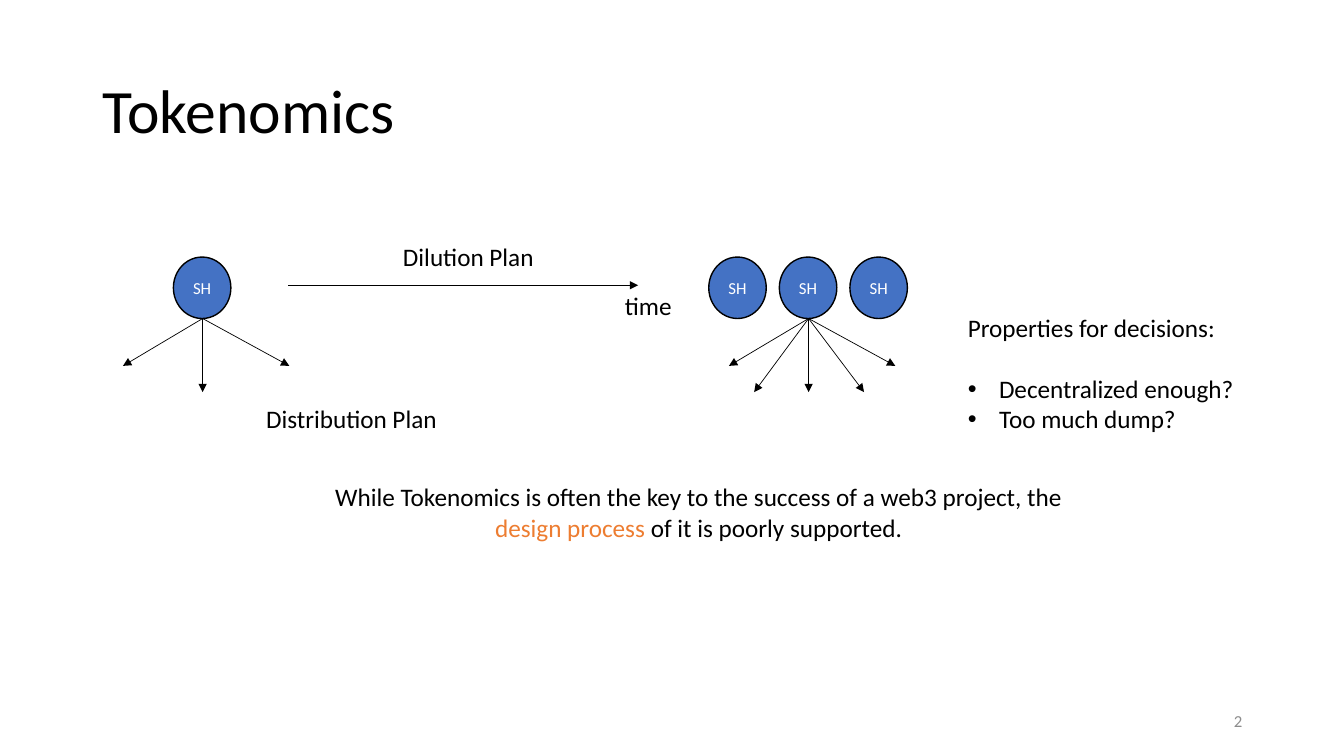
from lxml import etree
from pptx import Presentation
from pptx import util as u
from pptx.dml.color import RGBColor
from pptx.enum import shapes, text
from pptx.oxml.ns import qn

BLACK, WHITE, GREY = "000000", "FFFFFF", "8C8C8C"
BLUE, ORANGE = "4472C4", "ED7D31"
ALIGN, ANCHOR = text.PP_ALIGN, text.MSO_ANCHOR


def color(value):
    return RGBColor.from_string(value)


class SlideBuilder:
    font = "Calibri"
    line_width = 0.5

    def __init__(self, slide):
        self.slide = slide

    def style(self, span, size, ink):
        span.font.name = self.font
        span.font.size = u.Pt(size)
        span.font.color.rgb = color(ink)

    def text(self, place, paragraphs, size=18, ink=BLACK, align=ALIGN.CENTER,
             anchor=ANCHOR.TOP):
        """Each paragraph is a list of (words, ink) spans or a plain string."""
        box = self.slide.shapes.add_textbox(*map(u.Inches, place))
        frame = box.text_frame
        frame.word_wrap = True
        frame.vertical_anchor = anchor
        for index, content in enumerate(paragraphs):
            para = frame.paragraphs[0] if index == 0 else frame.add_paragraph()
            para.alignment = align
            spans = [(content, ink)] if isinstance(content, str) else content
            for words, span_ink in spans:
                span = para.add_run()
                span.text = words
                self.style(span, size, span_ink)
        return frame.paragraphs

    def bullet(self, para):
        props = para._p.get_or_add_pPr()
        props.set("marL", str(u.Inches(0.31)))
        props.set("indent", str(-u.Inches(0.31)))
        etree.SubElement(props, qn("a:buFont")).set("typeface", "Arial")
        etree.SubElement(props, qn("a:buChar")).set("char", "•")

    def circle(self, left, top, width, height, label):
        shape = self.slide.shapes.add_shape(
            shapes.MSO_SHAPE.OVAL, *map(u.Inches, (left, top, width, height)))
        shape.shadow.inherit = False
        shape.fill.solid()
        shape.fill.fore_color.rgb = color(BLUE)
        shape.line.color.rgb = color(BLACK)
        shape.line.width = u.Pt(1)
        frame = shape.text_frame
        frame.margin_left = frame.margin_right = 0
        frame.vertical_anchor = ANCHOR.MIDDLE
        frame.text = label
        frame.paragraphs[0].alignment = ALIGN.CENTER
        self.style(frame.paragraphs[0].runs[0], 12, WHITE)

    def arrow(self, start, end):
        line = self.slide.shapes.add_connector(
            shapes.MSO_CONNECTOR.STRAIGHT, *map(u.Inches, (*start, *end)))
        line.line.color.rgb = color(BLACK)
        line.line.width = u.Pt(self.line_width)
        etree.SubElement(line.line._get_or_add_ln(), qn("a:tailEnd")).set("type", "triangle")
        etree.SubElement(line._element.spPr, qn("a:effectLst"))


def main():
    deck = Presentation()
    deck.slide_width, deck.slide_height = u.Inches(13.33), u.Inches(7.5)
    page = SlideBuilder(deck.slides.add_slide(deck.slide_layouts[6]))

    # Title and page number
    title = page.text((0.92, 0.4, 11.5, 1.45), ["Tokenomics"], 44,
                      align=ALIGN.LEFT, anchor=ANCHOR.MIDDLE)
    title[0].line_spacing = 0.9
    page.text((9.42, 6.95, 3, 0.4), ["2"], 12, GREY, ALIGN.RIGHT, ANCHOR.MIDDLE)

    # Stakeholders before and after dilution
    width, height, top = 0.57, 0.61, 2.55
    for left in (1.72, 7.03, 7.73, 8.43):
        page.circle(left, top, width, height, "SH")

    # Distribution arrows fan out below a stakeholder
    outer = [(-0.79, 0.47), (0, 0.73), (0.86, 0.47)]
    inner = [(-0.54, 0.73), (0.55, 0.73)]
    bottom = top + height
    for center, fan in ((2.01, outer), (8.02, outer + inner)):
        for dx, dy in fan:
            page.arrow((center, bottom), (center + dx, bottom + dy))

    # Time axis and labels
    page.arrow((2.86, 2.83), (6.33, 2.83))
    page.text((5.93, 2.83, 1, 0.4), ["time"])
    page.text((3.7, 2.34, 1.89, 0.4), ["Dilution Plan"])
    page.text((2.44, 3.95, 2.09, 0.4), ["Distribution Plan"])

    # Key message
    page.text((3.06, 4.73, 7.74, 0.71), [[
        ("While Tokenomics is often the key to the success of a web3 project, the ", BLACK),
        ("design process ", ORANGE),
        ("of it is poorly supported.", BLACK)]])

    # Decision properties
    heading, *items = page.text(
        (9.5, 3.05, 3.25, 1.31),
        ["Properties for decisions:", "Decentralized enough?", "Too much dump?"],
        align=ALIGN.JUSTIFY)
    heading.space_after = u.Pt(22)
    for item in items:
        page.bullet(item)

    deck.save("out.pptx")


if __name__ == "__main__":
    main()
